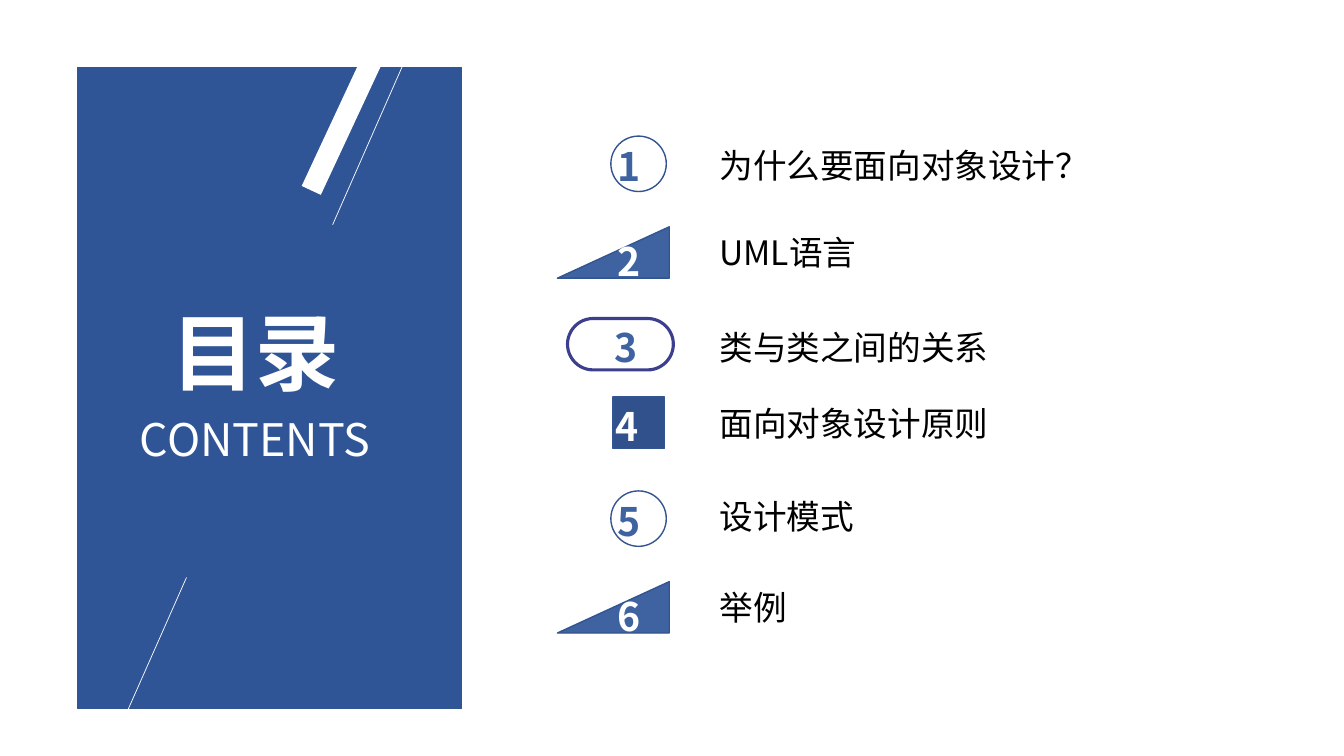
from lxml.etree import SubElement
from pptx import Presentation
from pptx.dml.color import RGBColor
from pptx.enum.shapes import MSO_CONNECTOR, MSO_SHAPE
from pptx.enum.text import MSO_ANCHOR, MSO_AUTO_SIZE, PP_ALIGN
from pptx.oxml.ns import qn
from pptx.util import Inches, Pt

COLUMNS, ROWS = 160, 90
WIDTH, HEIGHT = Inches(13.333), Inches(7.5)
CJK_FONT = "Noto Sans CJK SC"
COLORS = {
    "panel": "2F5597", "outline": "325491", "accent": "3F63A1", "square": "31518C",
    "pill": "3C3F8E", "white": "FFFFFF", "black": "000000",
}
TITLE_FORMAT = {"size": Pt(60), "bold": True, "name": "Arial"}
SUBTITLE_FORMAT = {"size": Pt(32), "bold": False, "name": "Noto Sans CJK JP"}
NUMBER_FORMAT = {"size": Pt(28), "bold": True, "name": CJK_FONT}
LABEL_FORMAT = {"size": Pt(24), "bold": False, "name": CJK_FONT}

MARKERS = {
    "circle": {"kind": MSO_SHAPE.OVAL, "left": 72.72, "size": (6.6, 6.6), "fill": None,
               "line": "outline", "weight": 1, "number": "accent"},
    "wedge": {"kind": MSO_SHAPE.RIGHT_TRIANGLE, "left": 66.36, "size": (13.32, 6.12),
              "fill": "accent", "line": "outline", "weight": 1, "number": "white"},
    "pill": {"kind": MSO_SHAPE.ROUNDED_RECTANGLE, "left": 67.56, "size": (12.6, 6.12),
             "fill": None, "line": "pill", "weight": 2.25, "number": "accent"},
    "square": {"kind": MSO_SHAPE.RECTANGLE, "left": 72.96, "size": (6.12, 6.12),
               "fill": "square", "line": "outline", "weight": 1, "number": "white"},
}
LABEL_LEFT = 84.48
AGENDA = [
    {"label": "为什么要面向对象设计？", "marker": "circle", "marker_top": 16.2,
     "number_at": (72.36, 16.32), "label_top": 16.68, "label_width": 59.16},
    {"label": "UML语言", "marker": "wedge", "marker_top": 27,
     "number_at": (72.36, 27.72), "label_top": 27, "label_width": 40.68},
    {"label": "类与类之间的关系", "marker": "pill", "marker_top": 37.92,
     "number_at": (72, 37.92), "label_top": 38.28, "label_width": 40.68},
    {"label": "面向对象设计原则", "marker": "square", "marker_top": 47.28,
     "number_at": (72.12, 47.28), "label_top": 47.4, "label_width": 67.2},
    {"label": "设计模式", "marker": "circle", "marker_top": 58.44,
     "number_at": (72.36, 58.56), "label_top": 58.44, "label_width": 40.68},
    {"label": "举例", "marker": "wedge", "marker_top": 69.24,
     "number_at": (72.36, 69.96), "label_top": 69.24, "label_width": 40.68},
]


def color(name):
    """Return the palette colour with the given name."""
    return RGBColor.from_string(COLORS[name])


def grid(*lengths):
    """Turn alternating column and row counts into slide lengths."""
    units = (WIDTH / COLUMNS, HEIGHT / ROWS)
    return [round(length * units[index % 2]) for index, length in enumerate(lengths)]


def apply_format(target, values):
    """Set every attribute in values on the target."""
    for name, value in values.items():
        setattr(target, name, value)


def write_text(shape, text, font_format, font_color, alignment=PP_ALIGN.JUSTIFY):
    """Fill a shape with one formatted paragraph."""
    frame = shape.text_frame
    apply_format(frame, {"word_wrap": True, "auto_size": MSO_AUTO_SIZE.SHAPE_TO_FIT_TEXT,
                         "vertical_anchor": MSO_ANCHOR.TOP})
    paragraph = frame.paragraphs[0]
    paragraph.alignment = alignment
    run = paragraph.add_run()
    run.text = text
    apply_format(run.font, font_format)
    run.font.color.rgb = color(font_color)
    SubElement(run.font._element, qn("a:ea"), typeface=CJK_FONT)


def add_text(slide, area, *content):
    """Add a text box on the grid."""
    write_text(slide.shapes.add_textbox(*grid(*area)), *content)


def add_figure(slide, kind, area, fill=None, line=None, weight=1):
    """Add a flat preset shape on the grid."""
    shape = slide.shapes.add_shape(kind, *grid(*area))
    shape.shadow.inherit = False
    if fill:
        shape.fill.solid()
        shape.fill.fore_color.rgb = color(fill)
    else:
        shape.fill.background()
    if line:
        shape.line.color.rgb = color(line)
        shape.line.width = Pt(weight)
    else:
        shape.line.fill.background()
    return shape


def add_stroke(slide, ends):
    """Add a thin white line between two grid points."""
    stroke = slide.shapes.add_connector(MSO_CONNECTOR.STRAIGHT, *grid(*ends))
    stroke.line.color.rgb = color("white")
    stroke.line.width = Pt(0.5)
    SubElement(stroke.element.spPr, qn("a:effectLst"))


def add_title(slide):
    """Place the heading and its translation."""
    title = slide.shapes.title
    apply_format(title, dict(zip(("left", "top", "width", "height"),
                                 grid(19.2, 35.16, 25.8, 13.32))))
    write_text(title, "目录", TITLE_FORMAT, "white")
    add_text(slide, (15.48, 48.48, 33.48, 7.68), "CONTENTS", SUBTITLE_FORMAT, "white")


def add_panel(slide):
    """Draw the blue panel behind the title, with its slanted strokes."""
    panel = add_figure(slide, MSO_SHAPE.RECTANGLE, (9.24, 8.04, 45.72, 76.32),
                       "panel", "outline")
    slide.shapes.title.element.addprevious(panel.element)
    bar = add_figure(slide, MSO_SHAPE.RECTANGLE, (39.6, 5.52, 2.52, 18), "white")
    bar.rotation = 25
    for ends in ((39.6, 26.76, 48.84, 5.76), (12.96, 89.64, 22.2, 68.76)):
        add_stroke(slide, ends)


def add_agenda_item(slide, number, item):
    """Draw one agenda row: marker, number and label."""
    style = MARKERS[item["marker"]]
    marker = add_figure(slide, style["kind"],
                        (style["left"], item["marker_top"], *style["size"]),
                        style["fill"], style["line"], style["weight"])
    if item["marker"] == "pill":
        marker.adjustments[0] = 0.5
    if item["marker"] == "wedge":
        marker.element.spPr.find(qn("a:xfrm")).set("flipH", "1")
    add_text(slide, (*item["number_at"], 7.32, 6.84), str(number), NUMBER_FORMAT,
             style["number"])
    add_text(slide, (LABEL_LEFT, item["label_top"], item["label_width"], 6),
             item["label"], LABEL_FORMAT, "black", PP_ALIGN.LEFT)


def main():
    """Build the contents slide and save it."""
    presentation = Presentation()
    apply_format(presentation, {"slide_width": WIDTH, "slide_height": HEIGHT})
    slide = presentation.slides.add_slide(presentation.slide_layouts[5])
    add_panel(slide)
    add_title(slide)
    for number, item in enumerate(AGENDA, start=1):
        add_agenda_item(slide, number, item)
    presentation.save("out.pptx")


if __name__ == "__main__":
    main()
